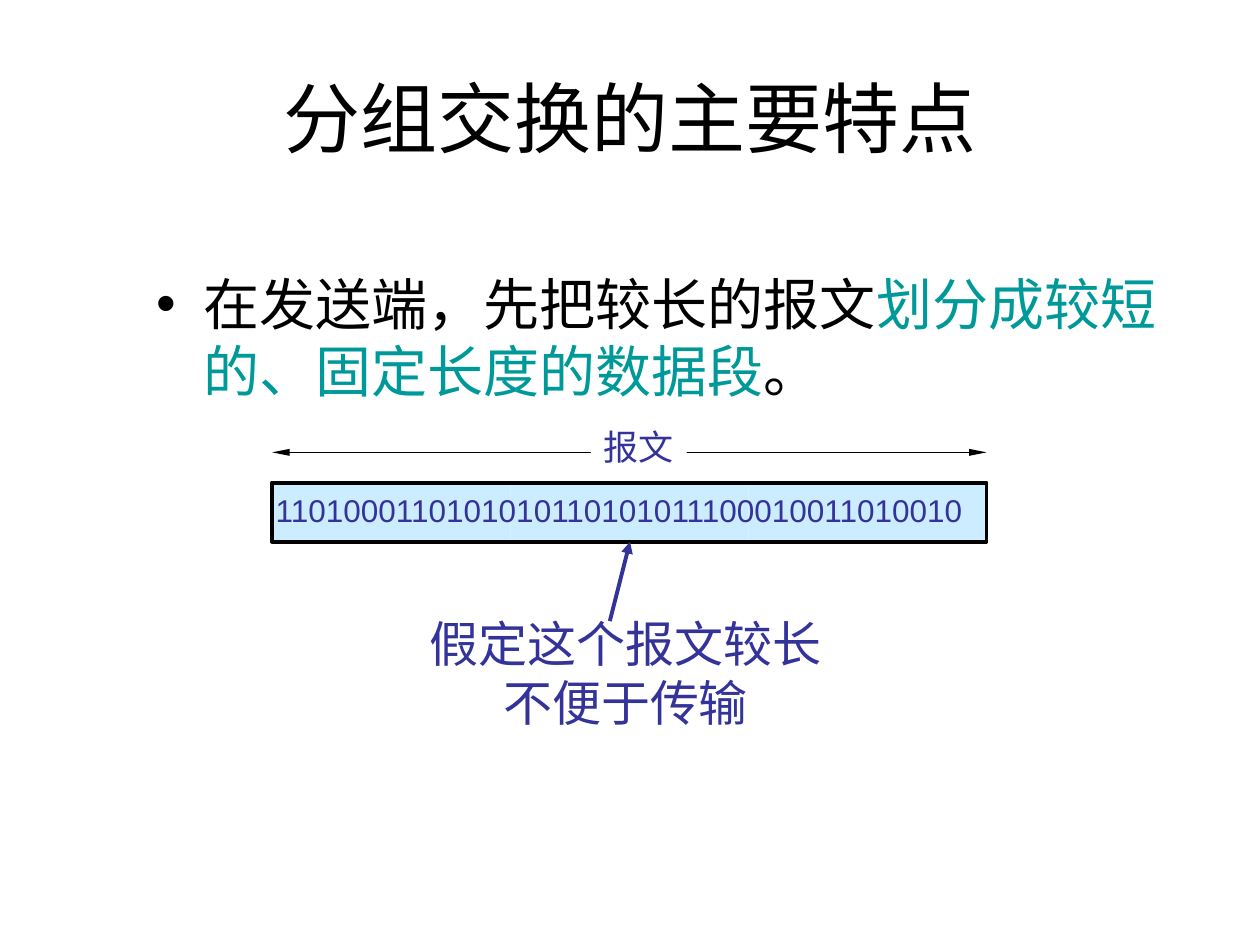
from lxml.etree import SubElement as Sub
from pptx import Presentation as Deck
from pptx.dml.color import RGBColor as RGB
from pptx.enum.shapes import MSO_CONNECTOR as Conn, MSO_SHAPE as Form
from pptx.enum.text import MSO_ANCHOR as Anchor, MSO_AUTO_SIZE as Auto, PP_ALIGN as Align
from pptx.oxml.ns import qn
from pptx.util import Inches, Pt

WIDE, HIGH = Inches(10), Inches(7.5)
BLACK = RGB(0x00, 0x00, 0x00)
WHITE = RGB(0xFF, 0xFF, 0xFF)
BLUE = RGB(0x33, 0x33, 0x99)
TEAL = RGB(0x00, 0x99, 0x99)
PALE = RGB(0xCC, 0xEC, 0xFF)
LEFT, SPAN, PARTS = 21.6, 56.7, 3
TOP, TALL = 51.07, 6.27


def across(share):
    return round(WIDE * share / 100)


def down(share):
    return round(HIGH * share / 100)


def place(x, y, w, h):
    return across(x), down(y), across(w), down(h)


def apply(item, style):
    for name, value in style.items():
        setattr(item, name, value)


def add_text(slide, box, lines, font, size, align=Align.LEFT, **frame):
    text = slide.shapes.add_textbox(*place(*box)).text_frame
    apply(text, {"word_wrap": False, "auto_size": Auto.NONE, **frame})
    for i, runs in enumerate(lines):
        para = text.paragraphs[0] if i == 0 else text.add_paragraph()
        para.alignment = align
        for words, color in runs:
            run = para.add_run()
            run.text = words
            apply(run.font, {"name": font, "size": Pt(size)})
            run.font.color.rgb = color
    return text


def add_bullet(para, indent):
    props = para._p.get_or_add_pPr()
    props.set("marL", str(indent))
    props.set("indent", str(-indent))
    Sub(props, qn("a:buFont"), typeface="Arial")
    Sub(props, qn("a:buChar"), char="•")


def add_box(slide, box, fill=None, edge=None):
    shape = slide.shapes.add_shape(Form.RECTANGLE, *place(*box))
    shape.shadow.inherit = False
    if fill is None:
        shape.fill.background()
    else:
        shape.fill.solid()
        shape.fill.fore_color.rgb = fill
    if edge is None:
        shape.line.fill.background()
    else:
        shape.line.color.rgb = edge
        shape.line.width = Pt(2.25)


def add_arrow(slide, start, end, color, width, heads):
    (x, y), (u, v) = start, end
    arrow = slide.shapes.add_connector(
        Conn.STRAIGHT, across(x), down(y), across(u), down(v))
    arrow.line.color.rgb = color
    arrow.line.width = Pt(width)
    line = arrow.line._get_or_add_ln()
    for tag, (w, size) in heads.items():
        Sub(line, qn(f"a:{tag}"), type="triangle", w=w, len=size)
    Sub(arrow._element.spPr, qn("a:effectLst"))


def add_message(slide):
    thin = ("sm", "lg")
    add_arrow(slide, (LEFT, 47.87), (LEFT + SPAN, 47.87), BLACK, 0.75,
              {"headEnd": thin, "tailEnd": thin})
    label = (46.9, 44.4, 7.6, 5.73)
    add_box(slide, label, WHITE)
    add_text(slide, label, [[("报文", BLUE)]], "Times New Roman", 20)
    step = SPAN / PARTS
    for i in range(PARTS):
        add_box(slide, (LEFT + i * step, TOP, step, TALL), PALE)
    add_box(slide, (LEFT, TOP, SPAN, TALL), edge=BLACK)
    bits = "1101000110101010110101011100010011010010"
    add_text(slide, (20.9, 51.33, 57.6, 5.33), [[(bits, BLUE)]], "Arial", 18,
             auto_size=Auto.SHAPE_TO_FIT_TEXT)


def add_note(slide):
    lines = [[("假定这个报文较长", BLUE)], [("不便于传输", BLUE)]]
    add_text(slide, (33.1, 64.27, 33.1, 13.73), lines, "Karla", 28, Align.CENTER)
    add_arrow(slide, (48.4, 65.73), (50, 57.33), BLUE, 2.25,
              {"tailEnd": ("med", "med")})


def main():
    deck = Deck()
    apply(deck, {"slide_width": WIDE, "slide_height": HIGH})
    slide = deck.slides.add_slide(deck.slide_layouts[6])
    add_text(slide, (5, 4, 90, 16.67), [[("分组交换的主要特点", BLACK)]],
             "Arial", 44, Align.CENTER,
             word_wrap=True, vertical_anchor=Anchor.MIDDLE)
    point = [("在发送端，先把较长的报文", BLACK),
             ("划分成较短的、固定长度的数据段", TEAL), ("。", BLACK)]
    body = add_text(slide, (11.4, 27.87, 85, 60), [point], "Arial", 32,
                    word_wrap=True)
    add_bullet(body.paragraphs[0], across(3.75))
    add_message(slide)
    add_note(slide)
    deck.save("out.pptx")


if __name__ == "__main__":
    main()
